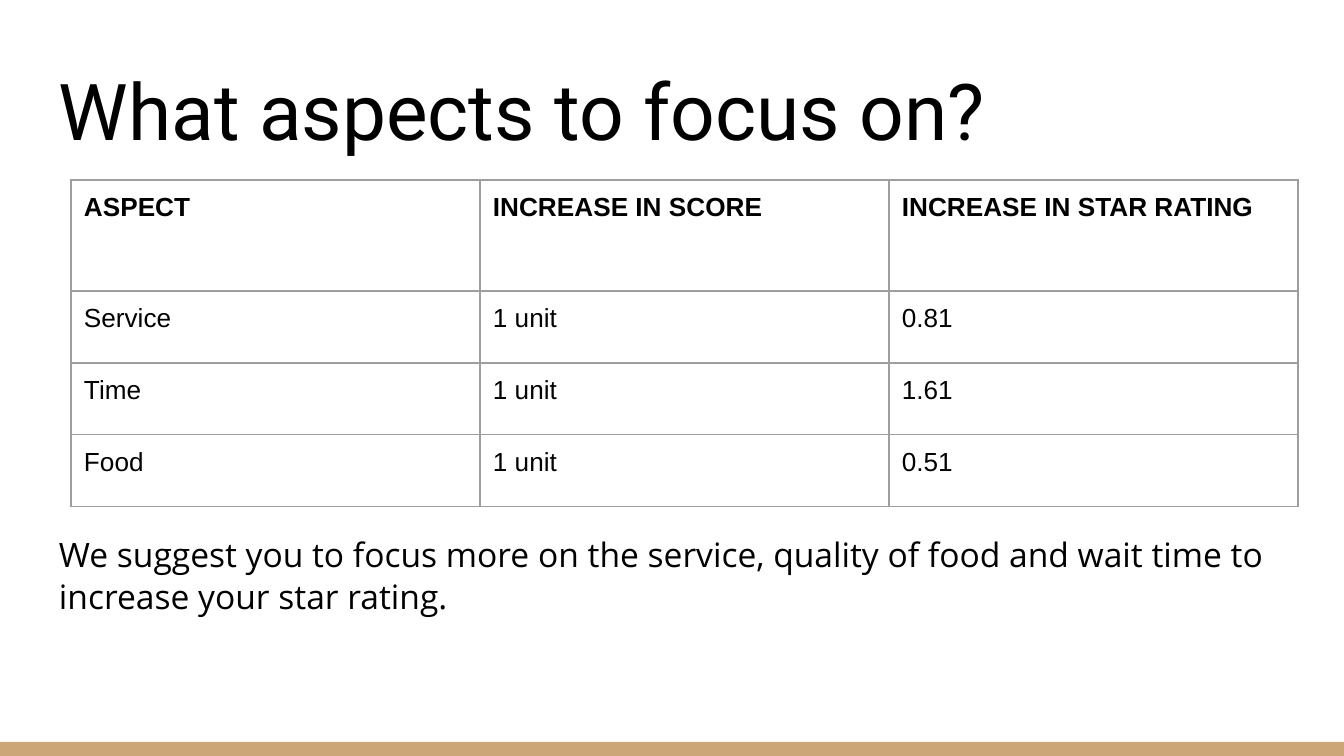
"""Build the slide on which aspects to focus on to raise the star rating."""
from dataclasses import dataclass

from lxml.etree import SubElement
from pptx import Presentation
from pptx.dml.color import RGBColor
from pptx.enum.shapes import MSO_SHAPE as Shape
from pptx.enum.text import MSO_ANCHOR as Anchor
from pptx.oxml.ns import qn
from pptx.util import Pt

TITLE = "What aspects to focus on?"
ASPECTS = [
    ("ASPECT", "INCREASE IN SCORE", "INCREASE IN STAR RATING"),
    ("Service", "1 unit", "0.81"),
    ("Time", "1 unit", "1.61"),
    ("Food", "1 unit", "0.51"),
]
ADVICE = (
    "We suggest you to focus more on the service, quality of food "
    "and wait time to increase your star rating."
)


@dataclass(frozen=True)
class Theme:
    ink: str = "000000"
    grid: str = "9E9E9E"
    band: str = "CCA677"
    title: tuple = ("Roboto", 42)
    advice: tuple = ("Open Sans", 18)
    cell: tuple = ("Arial", 14)
    grid_width: float = 0.75
    advice_spacing: float = 1.03


THEME = Theme()
WIDTH, HEIGHT = 1344, 756
LEFT, TEXT_WIDTH, INSET = 46, 1253, 13
BAND_HEIGHT = 14
TABLE_LEFT, TABLE_TOP, COLUMN_WIDTH = 71, 180, 409
HEADER_HEIGHT, ROW_HEIGHT = 111, 72


def px(length):
    return round(length * 914400 / 134.4)


def write(paragraph, words, font, bold=False):
    run = paragraph.add_run()
    run.text = words
    run.font.name, size = font
    run.font.size = Pt(size)
    run.font.bold = bold
    run.font.color.rgb = RGBColor.from_string(THEME.ink)


def set_insets(holder):
    holder.margin_left = holder.margin_right = px(INSET)
    holder.margin_top = holder.margin_bottom = px(INSET)


def add_text(slide, top, height, words, font, anchor, spacing=1.0):
    frame = slide.shapes.add_textbox(
        px(LEFT), px(top), px(TEXT_WIDTH), px(height)
    ).text_frame
    frame.word_wrap = True
    frame.vertical_anchor = anchor
    set_insets(frame)
    paragraph = frame.paragraphs[0]
    paragraph.line_spacing = spacing
    write(paragraph, words, font)


def outline(cell):
    properties = cell._tc.get_or_add_tcPr()
    for side in ("a:lnL", "a:lnR", "a:lnT", "a:lnB"):
        line = SubElement(properties, qn(side), w=str(Pt(THEME.grid_width)))
        fill = SubElement(line, qn("a:solidFill"))
        SubElement(fill, qn("a:srgbClr"), val=THEME.grid)


def add_aspects(slide):
    heights = [HEADER_HEIGHT] + [ROW_HEIGHT] * (len(ASPECTS) - 1)
    columns = len(ASPECTS[0])
    table = slide.shapes.add_table(
        len(ASPECTS), columns, px(TABLE_LEFT), px(TABLE_TOP),
        px(COLUMN_WIDTH * columns), px(sum(heights)),
    ).table
    table.horz_banding = False
    table.first_row = False
    for column in table.columns:
        column.width = px(COLUMN_WIDTH)
    for r, (aspect, height) in enumerate(zip(ASPECTS, heights)):
        table.rows[r].height = px(height)
        for c, words in enumerate(aspect):
            cell = table.cell(r, c)
            set_insets(cell)
            outline(cell)
            cell.fill.background()
            write(cell.text_frame.paragraphs[0], words, THEME.cell, r == 0)


def add_band(slide):
    band = slide.shapes.add_shape(
        Shape.RECTANGLE, 0, px(HEIGHT - BAND_HEIGHT), px(WIDTH), px(BAND_HEIGHT)
    )
    band.shadow.inherit = False
    band.fill.solid()
    band.fill.fore_color.rgb = RGBColor.from_string(THEME.band)
    band.line.fill.background()


def main():
    deck = Presentation()
    deck.slide_width, deck.slide_height = px(WIDTH), px(HEIGHT)
    slide = deck.slides.add_slide(deck.slide_layouts[6])
    add_band(slide)
    add_text(slide, 47, 122, TITLE, THEME.title, Anchor.BOTTOM)
    add_text(slide, 520, 153, ADVICE, THEME.advice, Anchor.TOP, THEME.advice_spacing)
    add_aspects(slide)
    deck.save("out.pptx")


if __name__ == "__main__":
    main()
